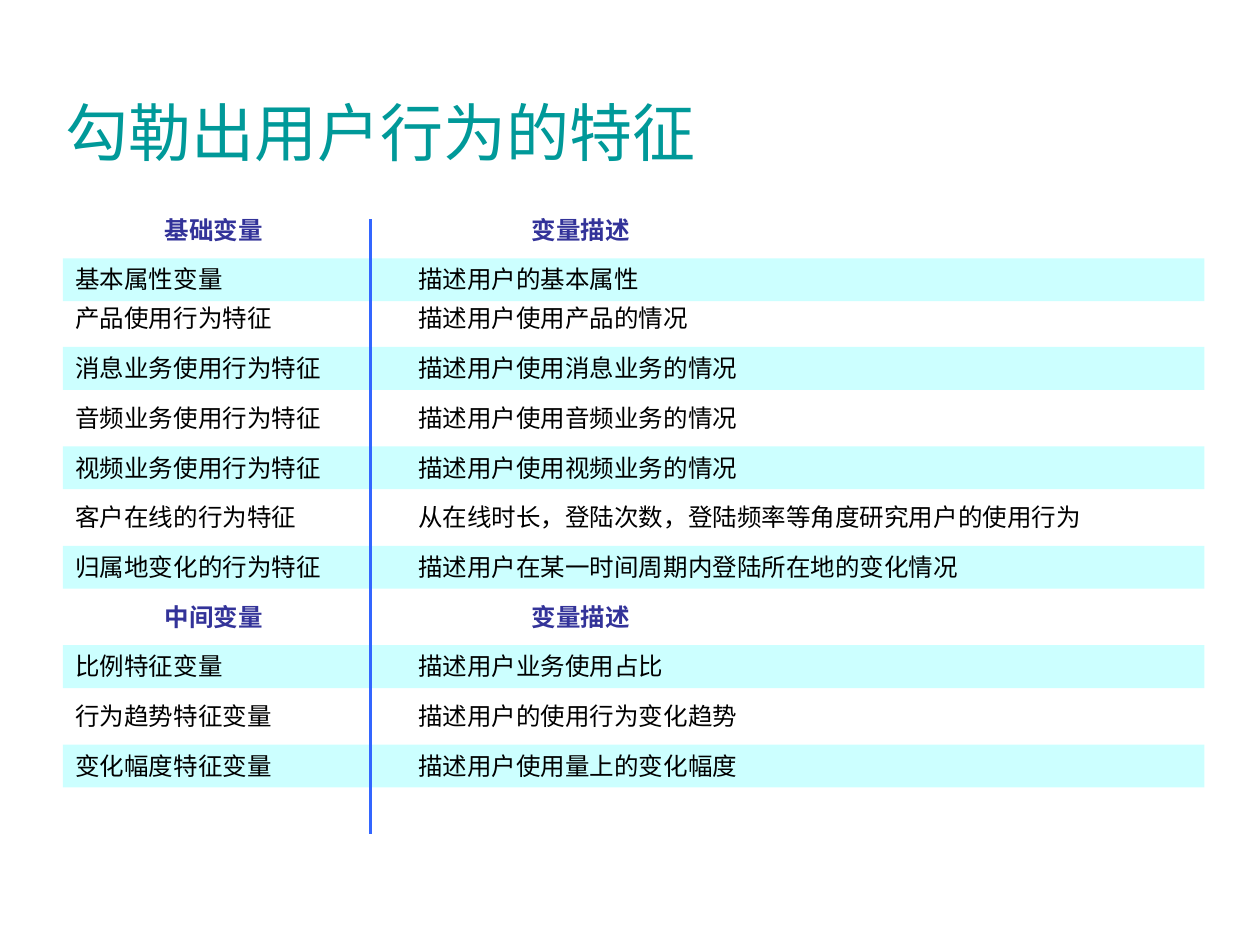
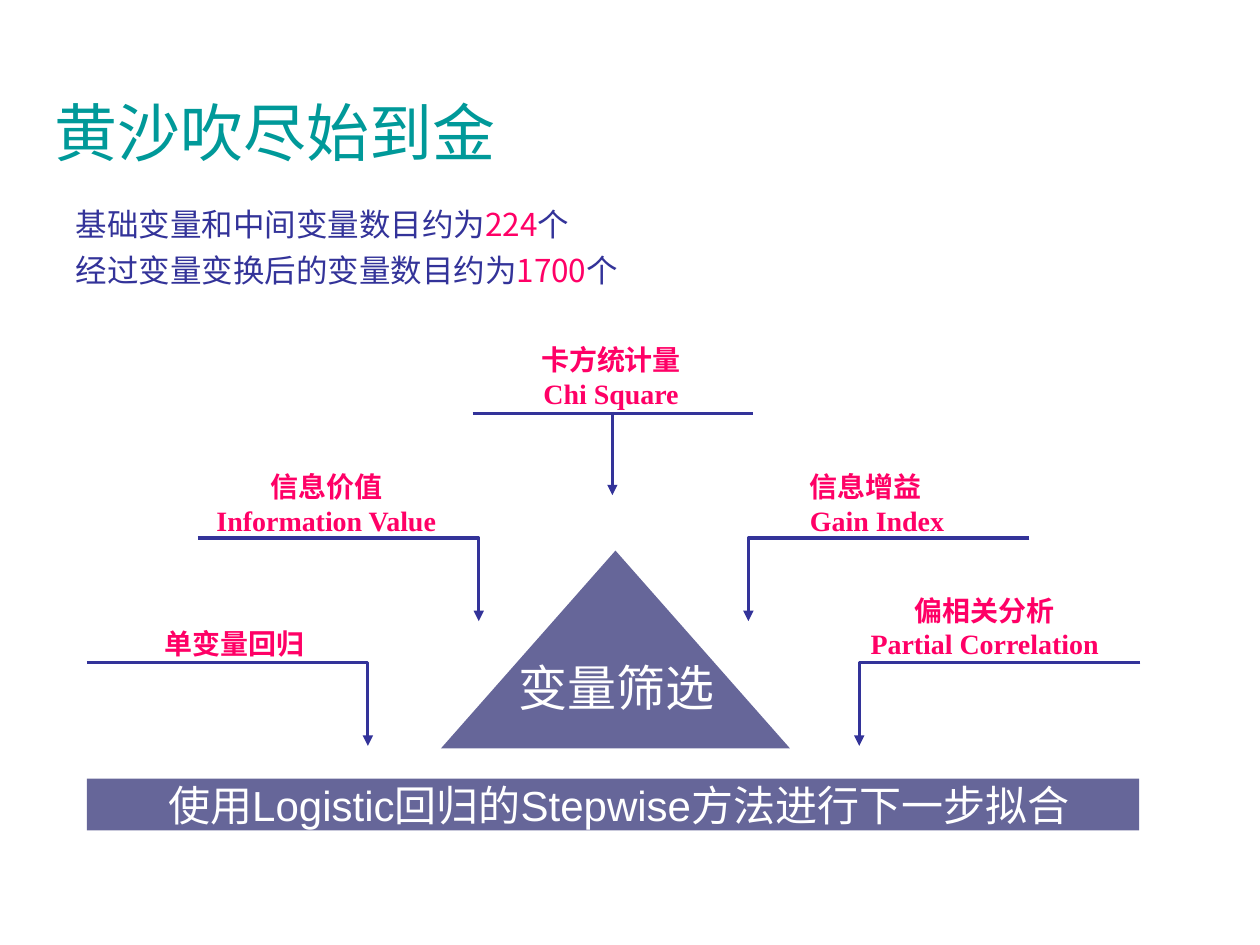
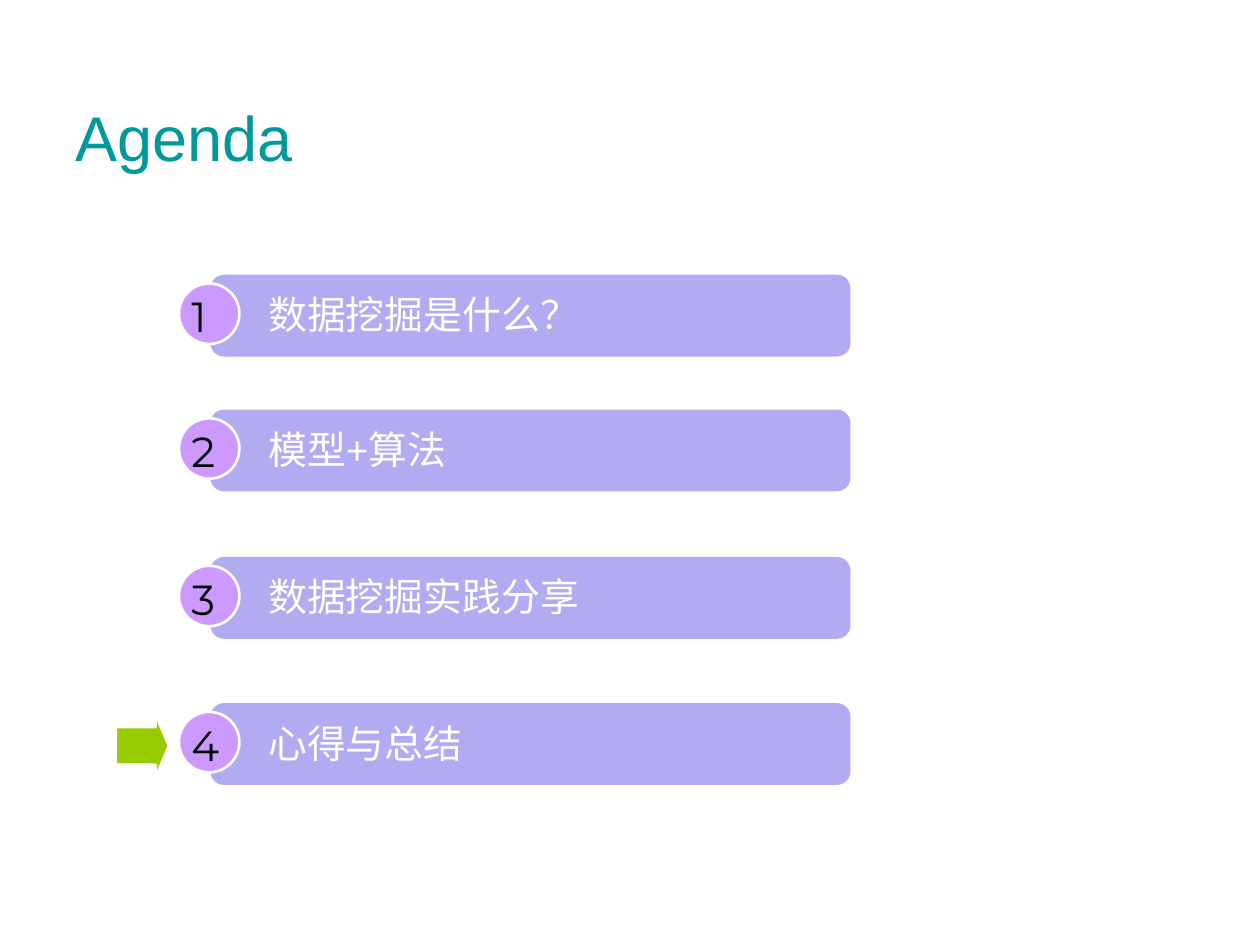
from dataclasses import dataclass

from lxml import etree
from pptx import Presentation
from pptx.dml.color import RGBColor
from pptx.enum.shapes import MSO_CONNECTOR, MSO_SHAPE
from pptx.enum.text import MSO_ANCHOR, MSO_AUTO_SIZE, PP_ALIGN
from pptx.oxml.ns import qn
from pptx.util import Inches, Pt

LEFT, CENTER = PP_ALIGN.LEFT, PP_ALIGN.CENTER
TOP, MIDDLE = MSO_ANCHOR.TOP, MSO_ANCHOR.MIDDLE
NO_AUTOFIT = MSO_AUTO_SIZE.NONE
STRAIGHT = MSO_CONNECTOR.STRAIGHT
RECTANGLE, TRIANGLE, OVAL = MSO_SHAPE.RECTANGLE, MSO_SHAPE.ISOSCELES_TRIANGLE, MSO_SHAPE.OVAL
ROUNDED, RIGHT_ARROW = MSO_SHAPE.ROUNDED_RECTANGLE, MSO_SHAPE.RIGHT_ARROW

# Shared look
TEAL, NAVY, PINK, SLATE = "009999", "333399", "FF0066", "666699"
WHITE, BLACK, AQUA, BLUE = "FFFFFF", "000000", "CCFFFF", "3366FF"
LAVENDER, VIOLET, GREEN = "B1ACF2", "CC99FF", "99CC00"
SANS, SERIF, CHINESE, DIGITS = "Arial", "Times New Roman", "Noto Sans CJK SC", "Montserrat"
BODY_LAYOUT, TITLE_LAYOUT = 1, 5


@dataclass(frozen=True)
class Box:
    left: float
    top: float
    width: float
    height: float

    def lengths(self) -> tuple:
        return tuple(Inches(v) for v in (self.left, self.top, self.width, self.height))


@dataclass(frozen=True)
class Style:
    size: float
    font: str
    color: str
    bold: bool = False


TITLE = Style(36, SANS, TEAL)
ROW = Style(14, SERIF, BLACK)
HEADING = Style(14, SERIF, NAVY, True)
COUNT = Style(18, CHINESE, NAVY)
COUNT_NUMBER = Style(18, CHINESE, PINK)
METHOD = Style(16, SERIF, PINK, True)
AGENDA = Style(22.2, SANS, WHITE)
AGENDA_NUMBER = Style(24, DIGITS, BLACK)


def rgb(color: str) -> RGBColor:
    return RGBColor.from_string(color)


# Text
def add_run(paragraph, text: str, style: Style) -> None:
    run = paragraph.add_run()
    run.text = text
    run.font.size = Pt(style.size)
    run.font.bold = style.bold
    run.font.color.rgb = rgb(style.color)
    run.font.name = style.font
    east_asian = etree.SubElement(run.font._element, qn("a:ea"))
    east_asian.set("typeface", CHINESE)


def write(shape, lines: list[str], style: Style, align=LEFT, anchor=TOP, wrap=True) -> None:
    frame = shape.text_frame
    frame.auto_size = NO_AUTOFIT
    frame.word_wrap = wrap
    frame.vertical_anchor = anchor
    for index, line in enumerate(lines):
        paragraph = frame.add_paragraph() if index else frame.paragraphs[0]
        paragraph.alignment = align
        add_run(paragraph, line, style)


def add_text(slide, box: Box, lines: list[str], style: Style, align=LEFT, anchor=TOP,
             wrap=True, inset=True):
    shape = slide.shapes.add_textbox(*box.lengths())
    write(shape, lines, style, align, anchor, wrap)
    if not inset:
        frame = shape.text_frame
        frame.margin_left = frame.margin_right = frame.margin_top = frame.margin_bottom = 0
    return shape


def place(shape, box: Box) -> None:
    shape.left, shape.top, shape.width, shape.height = box.lengths()


def start_slide(prs, layout: int, title: str, box: Box):
    slide = prs.slides.add_slide(prs.slide_layouts[layout])
    place(slide.shapes.title, box)
    write(slide.shapes.title, [title], TITLE, anchor=MIDDLE)
    return slide


# Shapes and lines
def add_block(slide, kind, box: Box, fill: str, outline: str | None = None):
    shape = slide.shapes.add_shape(kind, *box.lengths())
    shape.shadow.inherit = False
    shape.fill.solid()
    shape.fill.fore_color.rgb = rgb(fill)
    if outline:
        shape.line.color.rgb = rgb(outline)
        shape.line.width = Pt(1.5)
    else:
        shape.line.fill.background()
    return shape


def style_line(line, color: str, width: float, arrow: bool) -> None:
    line.color.rgb = rgb(color)
    line.width = Pt(width)
    if arrow:
        etree.SubElement(line._get_or_add_ln(), qn("a:tailEnd")).set("type", "triangle")


def add_line(slide, start: tuple, end: tuple, color=NAVY, width=1.75, arrow=False) -> None:
    points = [Inches(v) for v in (*start, *end)]
    connector = slide.shapes.add_connector(STRAIGHT, *points)
    style_line(connector.line, color, width, arrow)
    etree.SubElement(connector._element.spPr, qn("a:effectLst"))


def add_elbow_arrow(slide, outer: float, inner: float, top: float) -> None:
    builder = slide.shapes.build_freeform(Inches(outer), Inches(top))
    corners = [(inner, top), (inner, top + ARROW_DROP)]
    builder.add_line_segments([(Inches(x), Inches(y)) for x, y in corners], close=False)
    elbow = builder.convert_to_shape()
    elbow.shadow.inherit = False
    elbow.fill.background()
    style_line(elbow.line, NAVY, 1.75, True)


# Slide 1: variables and their descriptions
@dataclass(frozen=True)
class Variable:
    name: str
    description: str
    heading: bool = False


VARIABLES = [
    Variable("基础变量", "变量描述", True),
    Variable("基本属性变量", "描述用户的基本属性"),
    Variable("产品使用行为特征", "描述用户使用产品的情况"),
    Variable("消息业务使用行为特征", "描述用户使用消息业务的情况"),
    Variable("音频业务使用行为特征", "描述用户使用音频业务的情况"),
    Variable("视频业务使用行为特征", "描述用户使用视频业务的情况"),
    Variable("客户在线的行为特征", "从在线时长，登陆次数，登陆频率等角度研究用户的使用行为"),
    Variable("归属地变化的行为特征", "描述用户在某一时间周期内登陆所在地的变化情况"),
    Variable("中间变量", "变量描述", True),
    Variable("比例特征变量", "描述用户业务使用占比"),
    Variable("行为趋势特征变量", "描述用户的使用行为变化趋势"),
    Variable("变化幅度特征变量", "描述用户使用量上的变化幅度"),
]
ROW_HEIGHT = 0.34
DESCRIPTION_TAB = 2.72


def variable_top(index: int) -> float:
    """The first two rows sit a little higher than the even grid below them."""
    if index < 2:
        return 1.66 + 0.39 * index
    first, last = 2.36, 5.91
    return first + (last - first) * (index - 2) / (len(VARIABLES) - 3)


def add_tab_stop(paragraph, position: float) -> None:
    stops = etree.SubElement(paragraph._p.get_or_add_pPr(), qn("a:tabLst"))
    etree.SubElement(stops, qn("a:tab"), pos=str(Inches(position)), algn="l")


def add_variable(slide, index: int, variable: Variable) -> None:
    top = variable_top(index)
    if variable.heading:
        for left, text in ((1.21, variable.name), (4.12, variable.description)):
            add_text(slide, Box(left, top, 1.5, ROW_HEIGHT), [text], HEADING)
        return
    box = Box(0.5, top, 9.06, ROW_HEIGHT)
    line = f"{variable.name}\t{variable.description}"
    if index % 2:
        row = add_block(slide, RECTANGLE, box, AQUA)
        write(row, [line], ROW)
    else:
        row = add_text(slide, box, [line], ROW)
    add_tab_stop(row.text_frame.paragraphs[0], DESCRIPTION_TAB)


def build_variables(prs) -> None:
    slide = start_slide(prs, TITLE_LAYOUT, "勾勒出用户行为的特征", Box(0.42, 0.58, 6.57, 0.92))
    for index, variable in enumerate(VARIABLES):
        add_variable(slide, index, variable)
    add_line(slide, (2.94, 1.74), (2.94, 6.62), BLUE, 2)


# Slide 2: variable selection
@dataclass(frozen=True)
class Method:
    box: Box
    lines: list[str]
    align: PP_ALIGN = CENTER


COUNTS = [("基础变量和中间变量数目约为", "224"), ("经过变量变换后的变量数目约为", "1700")]
METHODS = [
    Method(Box(4.17, 2.67, 1.36, 0.64), ["卡方统计量", "Chi Square"]),
    Method(Box(1.61, 3.68, 1.96, 0.64), ["信息价值", "Information Value"]),
    Method(Box(6.33, 3.68, 1.26, 0.64), ["信息增益", "Gain Index"], LEFT),
    Method(Box(1.21, 4.92, 1.31, 0.37), ["单变量回归"], LEFT),
    Method(Box(6.81, 4.66, 2.01, 0.64), ["偏相关分析", "Partial Correlation"]),
]
ARROW_DROP = 0.66
AXIS = 4.87


def add_counts(body) -> None:
    place(body, Box(0.5, 1.58, 5.07, 0.94))
    frame = body.text_frame
    frame.auto_size = NO_AUTOFIT
    for index, (label, number) in enumerate(COUNTS):
        paragraph = frame.add_paragraph() if index else frame.paragraphs[0]
        paragraph.space_before = Pt(4.5)
        properties = paragraph._p.get_or_add_pPr()
        properties.set("marL", str(Inches(0.38)))
        properties.set("indent", str(-Inches(0.38)))
        etree.SubElement(properties, qn("a:buNone"))
        add_run(paragraph, label, COUNT)
        add_run(paragraph, number, COUNT_NUMBER)
        add_run(paragraph, "个", COUNT)


def build_selection(prs) -> None:
    slide = start_slide(prs, BODY_LAYOUT, "黄沙吹尽始到金", Box(0.33, 0.58, 6.57, 0.92))
    add_counts(slide.placeholders[1])

    # Goal and next step
    add_block(slide, TRIANGLE, Box(3.5, 4.37, 2.77, 1.57), SLATE)
    add_text(slide, Box(3.97, 5.22, 1.85, 0.47), ["变量筛选"], Style(28, SANS, WHITE),
             CENTER, MIDDLE, inset=False)
    add_block(slide, RECTANGLE, Box(0.69, 6.18, 8.35, 0.41), SLATE)
    add_text(slide, Box(0.74, 6.19, 8.34, 0.4), ["使用Logistic回归的Stepwise方法进行下一步拟合"],
             Style(24, SANS, WHITE), CENTER, MIDDLE, inset=False)

    # Arrows, mirrored about the axis
    for outer, inner, top in ((4.18, 1.95, 5.26), (3.3, 1.07, 4.27)):
        for side in (1, -1):
            add_elbow_arrow(slide, AXIS + side * outer, AXIS + side * inner, top)
    add_line(slide, (4.86, 3.27), (4.86, 3.27 + ARROW_DROP), arrow=True)
    add_line(slide, (3.75, 3.28), (5.98, 3.28))

    for method in METHODS:
        add_text(slide, method.box, method.lines, METHOD, method.align, wrap=False)


# Slide 3: agenda
@dataclass(frozen=True)
class AgendaItem:
    top: float
    text: str


AGENDA_ITEMS = [
    AgendaItem(2.18, "数据挖掘是什么？"),
    AgendaItem(3.25, "模型+算法"),
    AgendaItem(4.42, "数据挖掘实践分享"),
    AgendaItem(5.58, "心得与总结"),
]


def add_agenda_item(slide, number: int, item: AgendaItem) -> None:
    add_block(slide, ROUNDED, Box(1.67, item.top, 5.08, 0.65), LAVENDER)
    add_block(slide, OVAL, Box(1.42, item.top + 0.07, 0.48, 0.48), VIOLET, WHITE)
    text_top = item.top + 0.08
    add_text(slide, Box(2.03, text_top, 3.38, 0.5), [item.text], AGENDA)
    add_text(slide, Box(1.42, text_top, 0.55, 0.5), [str(number)], AGENDA_NUMBER)


def build_agenda(prs) -> None:
    slide = start_slide(prs, TITLE_LAYOUT, "Agenda", Box(0.5, 0.67, 2.25, 0.83))
    for number, item in enumerate(AGENDA_ITEMS, start=1):
        add_agenda_item(slide, number, item)
    marker = add_block(slide, RIGHT_ARROW, Box(0.92, 5.67, 0.42, 0.5), GREEN, WHITE)
    marker.adjustments[0] = 0.6
    marker.adjustments[1] = 0.25


def main() -> None:
    prs = Presentation()
    prs.slide_width, prs.slide_height = Inches(10), Inches(7.5)
    build_variables(prs)
    build_selection(prs)
    build_agenda(prs)
    prs.save("out.pptx")


if __name__ == "__main__":
    main()
